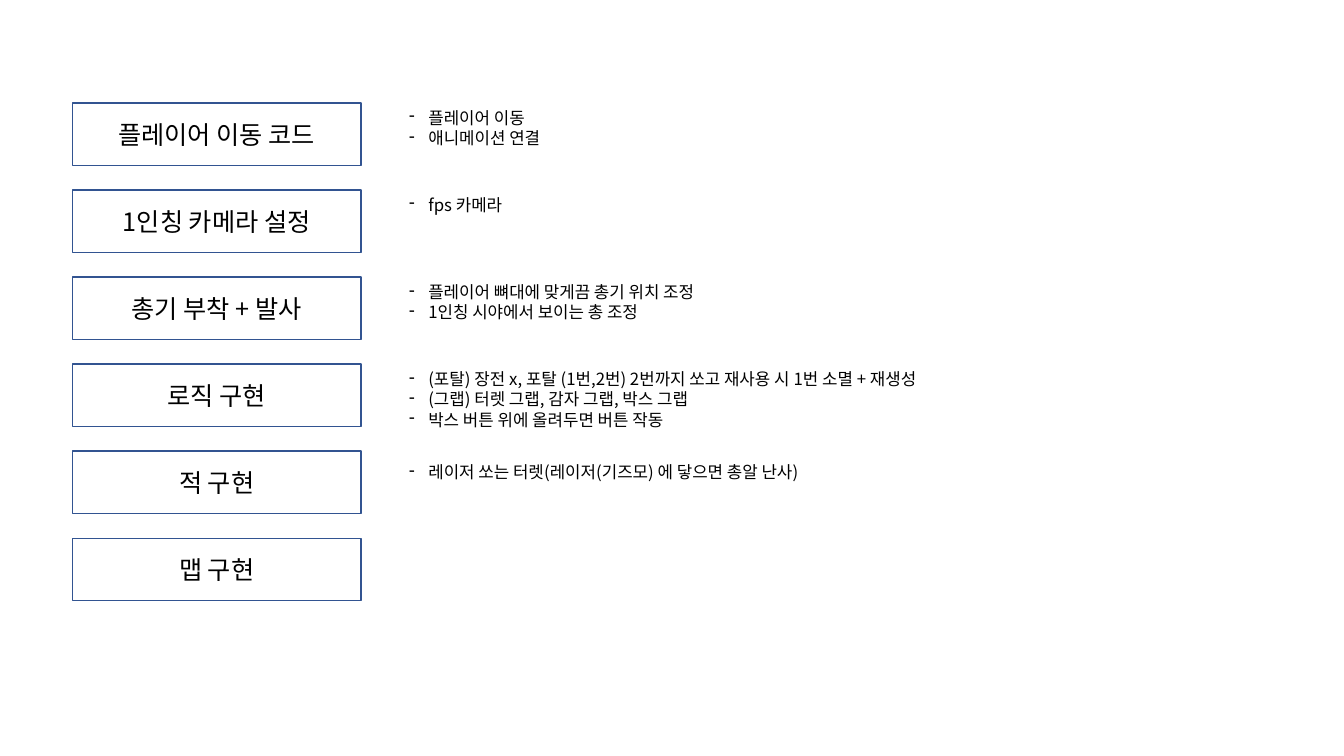
from pptx import Presentation
from pptx.dml.color import RGBColor
from pptx.enum.shapes import MSO_SHAPE
from pptx.enum.text import MSO_ANCHOR, MSO_AUTO_SIZE, PP_ALIGN
from pptx.oxml.ns import qn
from pptx.util import Inches, Pt
from lxml.etree import SubElement

# Content: task, its notes, width of the notes, extra drop below the row top
TASKS = [
    ("플레이어 이동 코드", ["플레이어 이동", "애니메이션 연결"], 1.68, 0),
    ("1인칭 카메라 설정", ["fps 카메라"], 1.18, 0),
    ("총기 부착 + 발사",
     ["플레이어 뼈대에 맞게끔 총기 위치 조정", "1인칭 시야에서 보이는 총 조정"], 3.36, 0),
    ("로직 구현",
     ["(포탈) 장전 x, 포탈 (1번,2번) 2번까지 쏘고 재사용 시 1번 소멸 + 재생성",
      "(그랩) 터렛 그랩, 감자 그랩, 박스 그랩",
      "박스 버튼 위에 올려두면 버튼 작동"], 5.77, 0),
    ("적 구현", ["레이저 쏘는 터렛(레이저(기즈모) 에 닿으면 총알 난사)"], 4.45, 0.06),
    ("맵 구현", [], 0, 0),
]

THEME = {
    "font": "Noto Sans CJK KR",
    "text": RGBColor(0x00, 0x00, 0x00),
    "box": RGBColor(0xFF, 0xFF, 0xFF),
    "line": RGBColor(0x32, 0x54, 0x91),
    "task_size": 18,
    "note_size": 12,
}

# Layout in inches
BOX_LEFT, BOX_W, BOX_H = 0.72, 2.86, 0.62
NOTE_LEFT, NOTE_H, NOTE_LINE, INDENT = 3.96, 0.29, 0.2, 0.19
FIRST_TOP, LAST_TOP = 1.02, 5.34
PITCH = (LAST_TOP - FIRST_TOP) / (len(TASKS) - 1)


def write(p, text, size, align=None, bullet=None):
    if align is not None:
        p.alignment = align
    if bullet:
        pPr = p._p.get_or_add_pPr()
        pPr.set("marL", str(Inches(INDENT)))
        pPr.set("indent", str(-Inches(INDENT)))
        SubElement(pPr, qn("a:buFontTx"))
        SubElement(pPr, qn("a:buChar")).set("char", bullet)
    r = p.add_run()
    r.text = text
    r.font.size = Pt(size)
    r.font.name = THEME["font"]
    r.font.color.rgb = THEME["text"]
    SubElement(r._r.get_or_add_rPr(), qn("a:ea")).set("typeface", THEME["font"])


def add_task(s, top, task):
    sp = s.shapes.add_shape(MSO_SHAPE.RECTANGLE, Inches(BOX_LEFT), Inches(top),
                            Inches(BOX_W), Inches(BOX_H))
    sp.shadow.inherit = False
    sp.fill.solid()
    sp.fill.fore_color.rgb = THEME["box"]
    sp.line.color.rgb = THEME["line"]
    sp.line.width = Pt(1)
    tf = sp.text_frame
    tf.vertical_anchor = MSO_ANCHOR.MIDDLE
    write(tf.paragraphs[0], task, THEME["task_size"], align=PP_ALIGN.CENTER)


def add_notes(s, top, notes, width):
    height = NOTE_H + NOTE_LINE * (len(notes) - 1)
    sp = s.shapes.add_textbox(Inches(NOTE_LEFT), Inches(top),
                              Inches(width), Inches(height))
    tf = sp.text_frame
    tf.word_wrap = False
    tf.auto_size = MSO_AUTO_SIZE.SHAPE_TO_FIT_TEXT
    for i, note in enumerate(notes):
        p = tf.add_paragraph() if i else tf.paragraphs[0]
        write(p, note, THEME["note_size"], bullet="-")


def main():
    prs = Presentation()
    prs.slide_width, prs.slide_height = Inches(13.33), Inches(7.5)
    s = prs.slides.add_slide(prs.slide_layouts[6])

    # One row per task: box on the left, notes on the right
    for row, (task, notes, width, drop) in enumerate(TASKS):
        top = FIRST_TOP + row * PITCH
        add_task(s, top, task)
        if notes:
            add_notes(s, top + drop, notes, width)

    prs.save("out.pptx")


if __name__ == "__main__":
    main()
